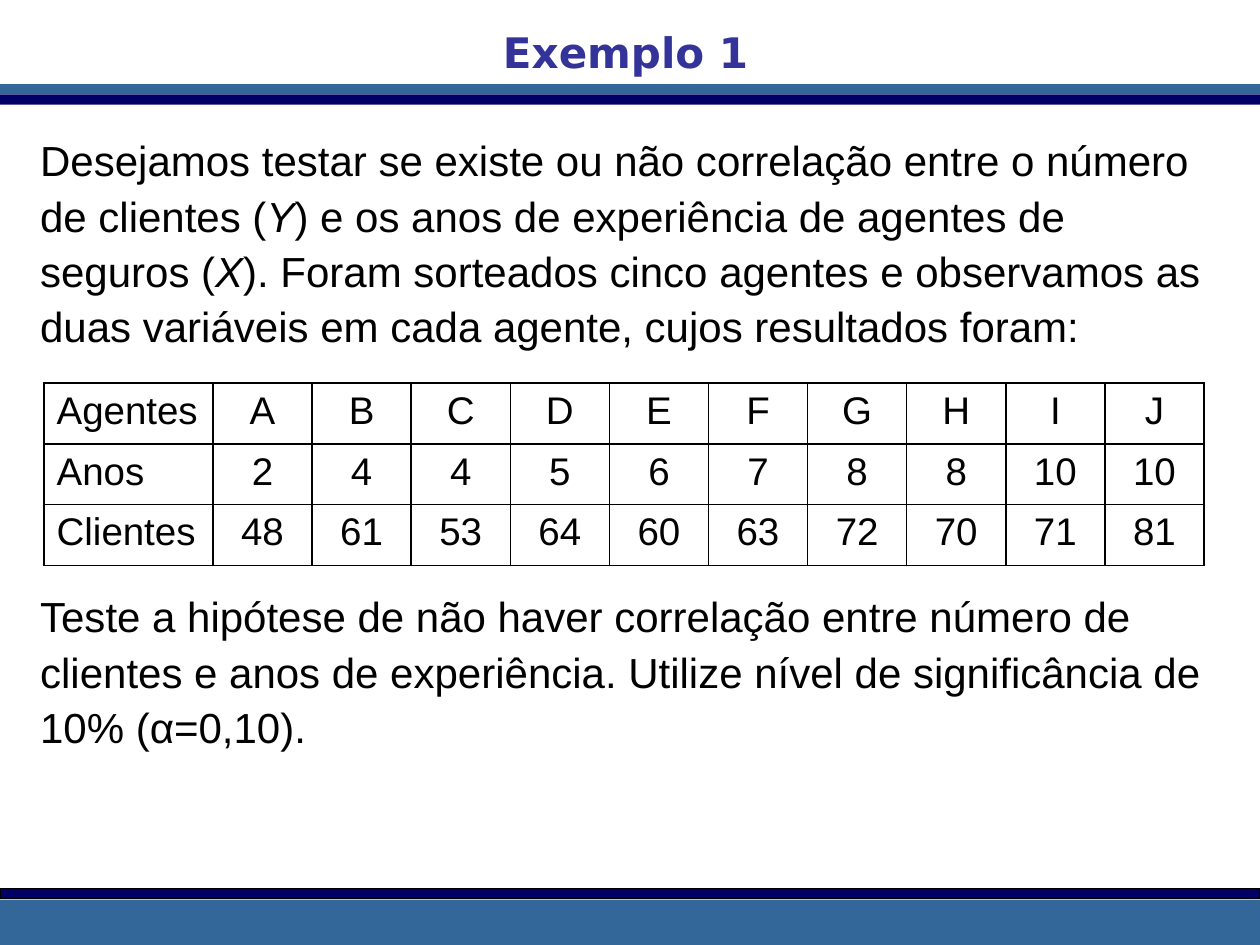
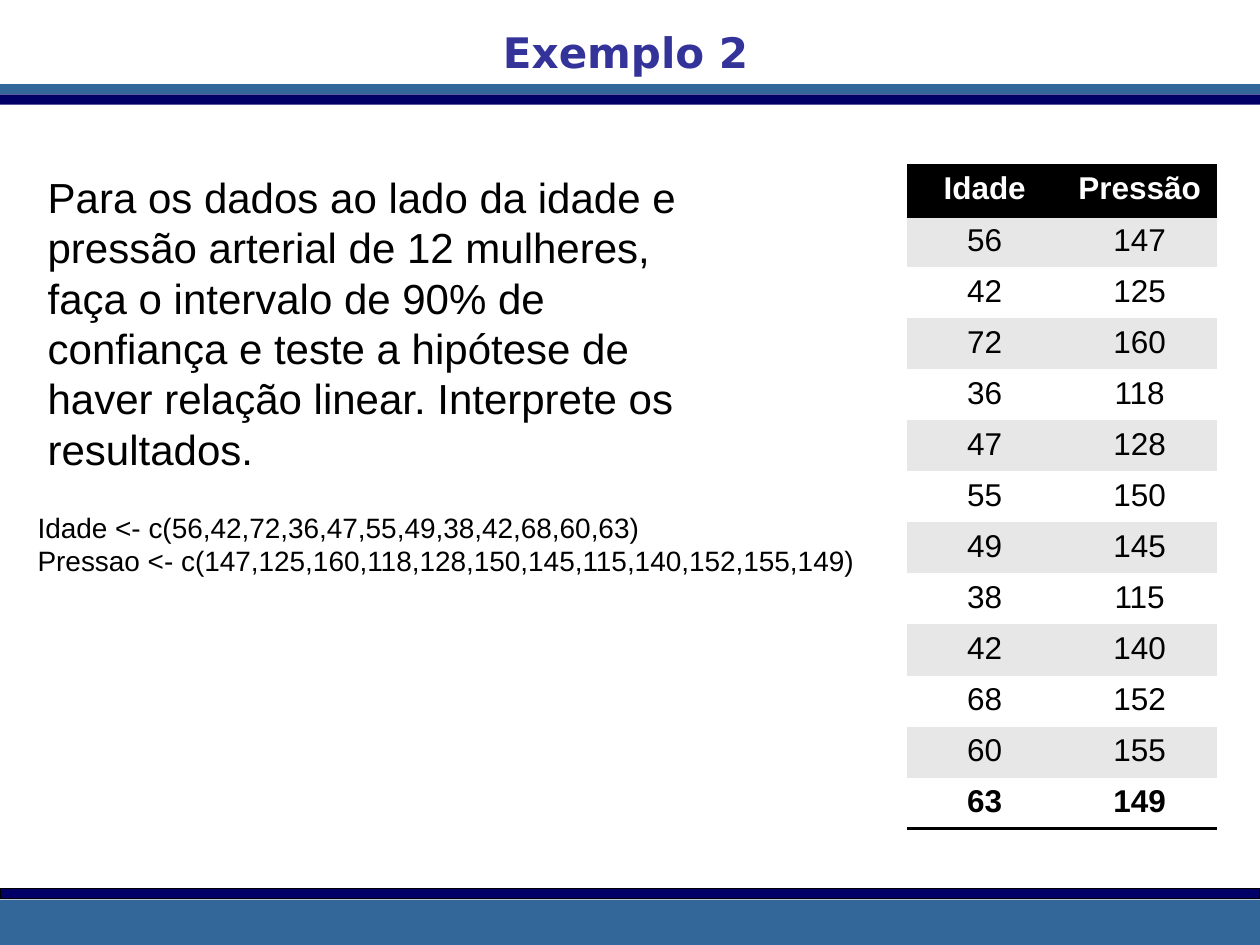
from lxml.etree import SubElement
from pptx import Presentation
from pptx.dml.color import RGBColor as RGB
from pptx.enum.text import MSO_ANCHOR as Anchor, MSO_AUTO_SIZE as Fit, PP_ALIGN as Align
from pptx.enum.shapes import MSO_SHAPE as Shape
from pptx.oxml.ns import qn
from pptx.util import Inches, Pt


class Theme:
    steel, navy, indigo = RGB(0x33, 0x66, 0x99), RGB(0, 0, 0x66), RGB(0x33, 0x33, 0x99)
    black, white, stripe = RGB(0, 0, 0), RGB(255, 255, 255), RGB(0xE7, 0xE7, 0xE7)
    title = {"name": "DejaVu Sans", "size": Pt(24), "bold": True}
    body = {"name": "Arial", "size": Pt(24)}
    code = {"name": "Arial", "size": Pt(16)}
    agents = {"name": "Arial", "size": Pt(22)}
    pressure = {"name": "Arial", "size": Pt(18)}
    no_table_style = "{2D5ABB26-0587-4C30-8999-92F81FD0307C}"


deck = Presentation()
deck.slide_width, deck.slide_height = Inches(10), Inches(7.5)


def place(left, top, width, height):
    """Turn percentages of the slide into left, top, width and height."""
    across, down = deck.slide_width / 100, deck.slide_height / 100
    return [int(n) for n in (left * across, top * down, width * across, height * down)]


def write(paragraph, text, font, color, **layout):
    """Fill a paragraph; parts between asterisks are italic."""
    for key, value in layout.items():
        setattr(paragraph, key, value)
    for number, part in enumerate(text.split("*")):
        run = paragraph.add_run()
        run.text = part
        for key, value in font.items():
            setattr(run.font, key, value)
        run.font.color.rgb = color
        if number % 2:
            run.font.italic = True


# Slides and titles
title_only = deck.slide_layouts[5]
slides = []
for heading in ("Exemplo 1", "Exemplo 2"):
    slide = deck.slides.add_slide(title_only)
    slides.append(slide)
    title = slide.shapes.title
    title.left, title.top, title.width, title.height = place(38.8, 2.13, 21.7, 6.67)
    frame = title.text_frame
    for key, value in {"word_wrap": False, "vertical_anchor": Anchor.MIDDLE,
                       "auto_size": Fit.SHAPE_TO_FIT_TEXT}.items():
        setattr(frame, key, value)
    write(frame.paragraphs[0], heading, Theme.title, Theme.indigo, alignment=Align.CENTER)
correlation, regression = slides

# Shared bands, moved to the back of the layout
bands = [
    (8.93, 100, 1.07, Theme.steel, Theme.steel),
    (10, 100, 2.27, Theme.white, Theme.white),
    (10, 100.3, 1.07, Theme.navy, None),
    (95.2, 100, 4.8, Theme.steel, None),
    (94, 100, 1.07, Theme.navy, Theme.black),
]
for depth, (top, width, height, color, outline) in enumerate(bands):
    band = correlation.shapes.add_shape(Shape.RECTANGLE, *place(0, top, width, height))
    band.shadow.inherit = False
    band.fill.solid()
    band.fill.fore_color.rgb = color
    if outline is None:
        band.line.fill.background()
    else:
        band.line.color.rgb, band.line.width = outline, Pt(0.75)
    title_only.shapes.element.insert(2 + depth, band.element)

# Texts: the gap in the first statement leaves room for the table of agents
statement = {"line_spacing": 1.1}
texts = [
    (correlation, (2.2, 13.07, 95.9, 83), Theme.body, [
        ("Desejamos testar se existe ou não correlação entre o número de clientes (*Y*) e os "
         "anos de experiência de agentes de seguros (*X*). Foram sorteados cinco agentes e "
         "observamos as duas variáveis em cada agente, cujos resultados foram:",
         {**statement, "space_after": Pt(134)}),
        ("Teste a hipótese de não haver correlação entre número de clientes e anos de "
         "experiência. Utilize nível de significância de 10% (α=0,10).", statement)]),
    (regression, (2.8, 17.47, 52.2, 42), Theme.body, [
        ("Para os dados ao lado da idade e pressão arterial de 12 mulheres, faça o intervalo "
         "de 90% de confiança e teste a hipótese de haver relação linear. Interprete os "
         "resultados.", {})]),
    (regression, (2, 53.33, 68.5, 8.53), Theme.code, [
        ("Idade <- c(56,42,72,36,47,55,49,38,42,68,60,63)", {}),
        ("Pressao <- c(147,125,160,118,128,150,145,115,140,152,155,149)", {})]),
]
for slide, area, font, paragraphs in texts:
    frame = slide.shapes.add_textbox(*place(*area)).text_frame
    frame.word_wrap = True
    for number, (text, layout) in enumerate(paragraphs):
        paragraph = frame.add_paragraph() if number else frame.paragraphs[0]
        write(paragraph, text, font, Theme.black, **layout)

# Table contents
agent_rows = [
    ["Agentes", *"ABCDEFGHIJ"],
    ["Anos", 2, 4, 4, 5, 6, 7, 8, 8, 10, 10],
    ["Clientes", 48, 61, 53, 64, 60, 63, 72, 70, 71, 81],
]
ages = [56, 42, 72, 36, 47, 55, 49, 38, 42, 68, 60, 63]
pressures = [147, 125, 160, 118, 128, 150, 145, 115, 140, 152, 155, 149]
pressure_rows = [("Idade", "Pressão"), *zip(ages, pressures)]

# Tables: the agents have a full grid, the pressures a dark head and stripes
tables = [
    (correlation, agent_rows, (3.5, 40.53, 92.1, 19.33), [13.4] + [7.87] * 10, Theme.agents, True),
    (regression, pressure_rows, (72, 17.47, 24.6, 70.27), [12.3] * 2, Theme.pressure, False),
]
for slide, rows, area, widths, font, gridded in tables:
    table = slide.shapes.add_table(len(rows), len(widths), *place(*area)).table
    table._tbl.tblPr.find(qn("a:tableStyleId")).text = Theme.no_table_style
    table.first_row = table.horz_banding = False
    for column, width in zip(table.columns, widths):
        column.width = place(0, 0, width, 0)[2]
    for r, row in enumerate(rows):
        head, last = r == 0, r == len(rows) - 1
        sides = "LRTB" if gridded else "TB" if head else "B" if last else ""
        for c, value in enumerate(row):
            cell = table.cell(r, c)
            for side in sides:
                border = SubElement(cell._tc.get_or_add_tcPr(), qn("a:ln" + side),
                                    w=str(Pt(1 if gridded else 2)))
                fill = SubElement(border, qn("a:solidFill"))
                SubElement(fill, qn("a:srgbClr"), val=str(Theme.black))
            if gridded:
                cell.fill.background()
            else:
                cell.fill.solid()
                cell.fill.fore_color.rgb = (
                    Theme.black if head else Theme.stripe if r % 2 else Theme.white)
            write(cell.text_frame.paragraphs[0], str(value),
                  {**font, "bold": not gridded and (head or last)},
                  Theme.white if head and not gridded else Theme.black,
                  alignment=Align.LEFT if gridded and c == 0 else Align.CENTER)

deck.save("out.pptx")
